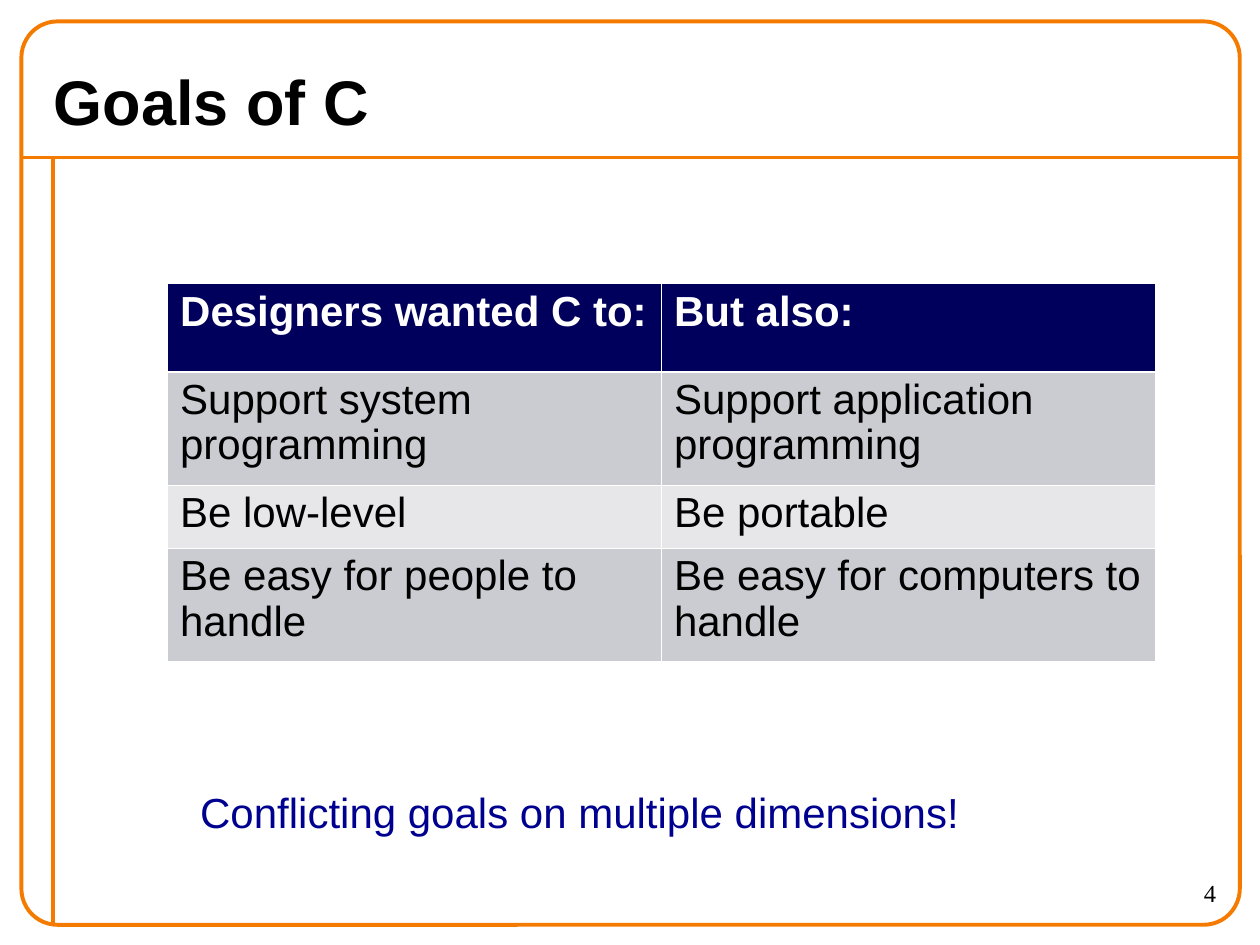
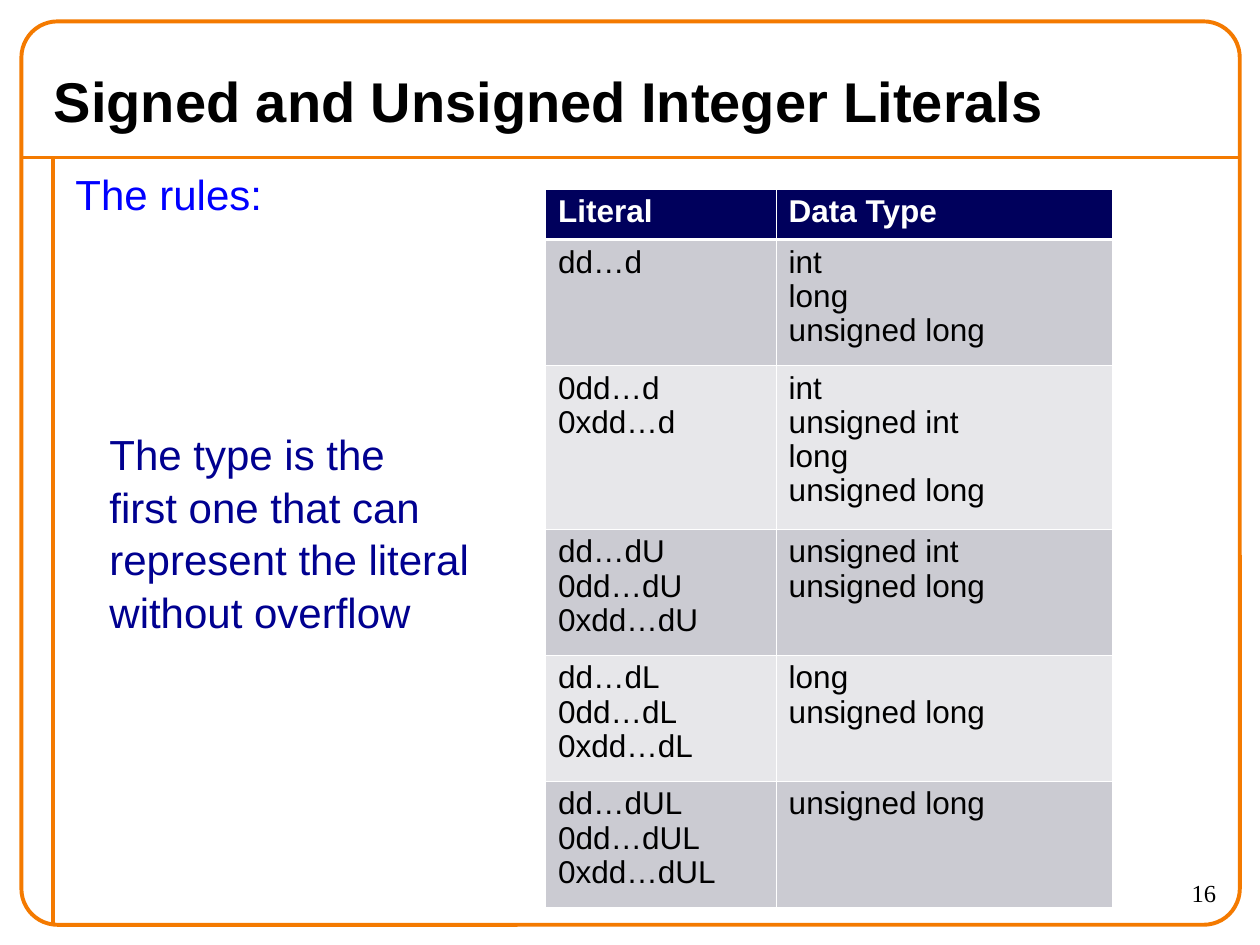
import pptx
import pptx.util
import pptx.dml.color
import pptx.enum.shapes
import pptx.enum.text
import pptx.oxml
import pptx.oxml.ns
from lxml import etree

Inches = pptx.util.Inches
Pt = pptx.util.Pt
RGBColor = pptx.dml.color.RGBColor
PP_ALIGN = pptx.enum.text.PP_ALIGN
MSO_ANCHOR = pptx.enum.text.MSO_ANCHOR
qn = pptx.oxml.ns.qn

ORANGE = RGBColor(0xF4, 0x7A, 0x00)
BLACK = RGBColor(0x00, 0x00, 0x00)
WHITE = RGBColor(0xFF, 0xFF, 0xFF)
NAVY = RGBColor(0x00, 0x00, 0x5C)
CALLOUT_BLUE = RGBColor(0x00, 0x00, 0x90)
LEAD_BLUE = RGBColor(0x00, 0x00, 0xFF)
DARK_BAND = RGBColor(0xCB, 0xCB, 0xD2)
LIGHT_BAND = RGBColor(0xE7, 0xE7, 0xEA)


class LectureDeck:
    def __init__(self):
        self.deck = pptx.Presentation()
        self.deck.slide_width = Inches(10)
        self.deck.slide_height = Inches(7.5)
        self.slide = None

    def start_slide(self, title, title_size, number):
        self.slide = self.deck.slides.add_slide(self.deck.slide_layouts[6])
        self.rule(0.17, 1.25, 9.83, 1.25)
        self.rule(0.42, 1.25, 0.42, 7.33)
        self.frame()
        self.text((0.33, 0.42, 9.33, 0.75), title, title_size, BLACK,
                  bold=True, anchor=MSO_ANCHOR.MIDDLE)
        self.text((8.75, 6.92, 1, 0.42), number, 14, BLACK,
                  font="Times New Roman", align=PP_ALIGN.RIGHT)

    def rule(self, x1, y1, x2, y2):
        rule = self.slide.shapes.add_connector(
            pptx.enum.shapes.MSO_CONNECTOR.STRAIGHT,
            Inches(x1), Inches(y1), Inches(x2), Inches(y2))
        self.outline(rule)
        etree.SubElement(rule.element.spPr, qn("a:effectLst"))

    def frame(self):
        frame = self.slide.shapes.add_shape(
            pptx.enum.shapes.MSO_SHAPE.ROUNDED_RECTANGLE,
            Inches(0.17), Inches(0.17), Inches(9.67), Inches(7.17))
        frame.adjustments[0] = 0.04
        frame.fill.background()
        frame.shadow.inherit = False
        self.outline(frame)

    def outline(self, shape):
        shape.line.color.rgb = ORANGE
        shape.line.width = Pt(2.24)

    def set_text(self, text_frame, text, size, color, bold=False, font="Arial",
                 align=PP_ALIGN.LEFT, spacing=None):
        text_frame.text = text
        for paragraph in text_frame.paragraphs:
            paragraph.font.name = font
            paragraph.font.size = Pt(size)
            paragraph.font.bold = bold
            paragraph.font.color.rgb = color
            paragraph.alignment = align
            paragraph.line_spacing = spacing

    def text(self, box, text, size, color, anchor=MSO_ANCHOR.TOP, wrap=True,
             **style):
        text_frame = self.slide.shapes.add_textbox(*map(Inches, box)).text_frame
        text_frame.word_wrap = wrap
        text_frame.vertical_anchor = anchor
        self.set_text(text_frame, text, size, color, **style)
        return text_frame

    def callout(self, box, text):
        callout = self.text(box, text, 24, CALLOUT_BLUE, wrap=False, spacing=1.05)
        callout.auto_size = pptx.enum.text.MSO_AUTO_SIZE.SHAPE_TO_FIT_TEXT

    def lead(self, text):
        lead = self.text((0.5, 1.33, 9.25, 6), text, 24, LEAD_BLUE, spacing=0.9)
        lead.paragraphs[0].space_before = Pt(15)

    def border(self, cell, side, width):
        line = etree.SubElement(cell._tc.get_or_add_tcPr(), qn("a:" + side),
                                w=str(int(Pt(width))))
        fill = etree.SubElement(line, qn("a:solidFill"))
        etree.SubElement(fill, qn("a:srgbClr"), val=str(WHITE))

    def table(self, left, top, widths, heights, rows, size):
        table = self.slide.shapes.add_table(
            len(rows), len(widths), Inches(left), Inches(top),
            Inches(sum(widths)), Inches(sum(heights))).table
        for column, width in zip(table.columns, widths):
            column.width = Inches(width)
        for r, (height, texts) in enumerate(zip(heights, rows)):
            table.rows[r].height = Inches(height)
            header = r == 0
            band = NAVY if header else DARK_BAND if r % 2 else LIGHT_BAND
            for c, text in enumerate(texts):
                cell = table.cell(r, c)
                self.border(cell, "lnL", 0.45)
                self.border(cell, "lnR", 0.45)
                self.border(cell, "lnT", 1.47 if r == 1 else 0.45)
                self.border(cell, "lnB", 1.47 if header else 0.45)
                cell.fill.solid()
                cell.fill.fore_color.rgb = band
                self.set_text(cell.text_frame, text, size,
                              WHITE if header else BLACK, bold=header,
                              spacing=0.97)


lecture = LectureDeck()

lecture.start_slide("Goals of C", 36, "4")
goals = [
    ("Designers wanted C to:", "But also:"),
    ("Support system programming", "Support application programming"),
    ("Be low-level", "Be portable"),
    ("Be easy for people to handle", "Be easy for computers to handle"),
]
lecture.table(1.33, 2.25, [3.92, 3.92], [0.7, 0.9, 0.5, 0.9], goals, 24)
lecture.callout((1.49, 6.17, 6.22, 0.5), "Conflicting goals on multiple dimensions!")

lecture.start_slide("Signed and Unsigned Integer Literals", 32, "16")
lecture.lead("The rules:")
literal_types = [
    ("Literal", "Data Type"),
    ("dd…d", "int\nlong\nunsigned long"),
    ("0dd…d\n0xdd…d", "int\nunsigned int\nlong\nunsigned long"),
]
for suffix, types in [("U", "unsigned int\nunsigned long"),
                      ("L", "long\nunsigned long"),
                      ("UL", "unsigned long")]:
    literals = "\n".join(prefix + "dd…d" + suffix for prefix in ("", "0", "0x"))
    literal_types.append((literals, types))
lecture.table(4.33, 1.5, [1.83, 2.67], [0.4, 1, 1.3, 1, 1, 1], literal_types, 18)
lecture.callout((0.77, 3.33, 3.05, 1.7),
                "The type is the\nfirst one that can\n"
                "represent the literal\nwithout overflow")

lecture.deck.save("out.pptx")
